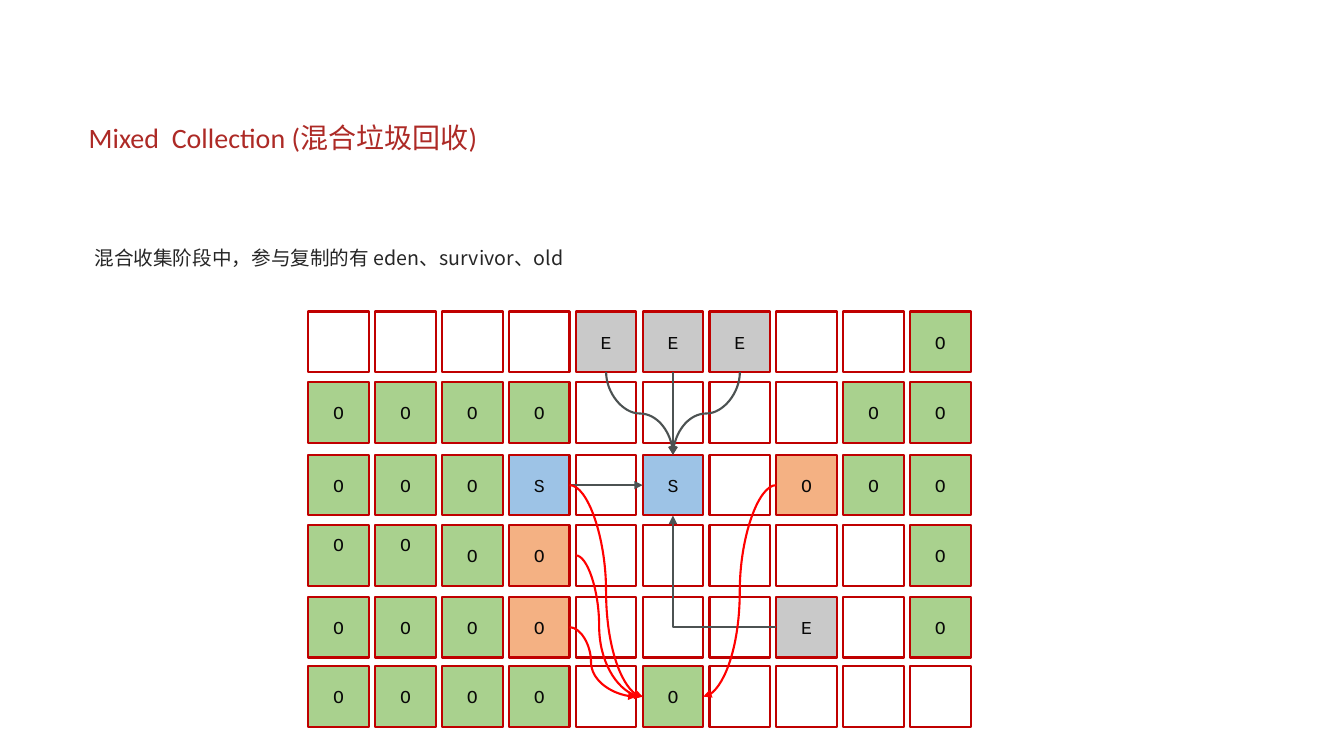
from pptx import Presentation
from pptx.dml.color import RGBColor
from pptx.enum.shapes import MSO_CONNECTOR, MSO_SHAPE
from pptx.enum.text import MSO_ANCHOR, MSO_AUTO_SIZE, PP_ALIGN
from pptx.oxml.ns import qn
from pptx.util import Cm, Pt
from lxml import etree

STRAIGHT, ELBOW, CURVE = MSO_CONNECTOR.STRAIGHT, MSO_CONNECTOR.ELBOW, MSO_CONNECTOR.CURVE
LEFT, CENTER = PP_ALIGN.LEFT, PP_ALIGN.CENTER
TOP, MIDDLE = MSO_ANCHOR.TOP, MSO_ANCHOR.MIDDLE

TITLE_RED = RGBColor(0xAD, 0x2A, 0x26)
BODY_GRAY = RGBColor(0x26, 0x26, 0x26)
LETTER_BLACK = RGBColor(0x08, 0x08, 0x08)
BORDER_RED = RGBColor(0xC0, 0x00, 0x00)
EDEN_GRAY = RGBColor(0xC9, 0xC9, 0xC9)
OLD_GREEN = RGBColor(0xA9, 0xD1, 0x8E)
CHOSEN_ORANGE = RGBColor(0xF4, 0xB1, 0x83)
SURVIVOR_BLUE = RGBColor(0x9D, 0xC3, 0xE6)
ARROW_GRAY = RGBColor(0x4C, 0x52, 0x52)
ARROW_RED = RGBColor(0xFF, 0x00, 0x00)
CJK_FONT = "Noto Sans CJK JP"

# Content
TITLE = "Mixed  Collection (混合垃圾回收)"
BODY = "混合收集阶段中，参与复制的有 eden、survivor、old"

# Heap regions: E eden, S survivor, O old, C old chosen for collection, . free
HEAP = [
    "....EEE..O",
    "OOOO....OO",
    "OOOS.S.COO",
    "OOOC.....O",
    "OOOC...E.O",
    "OOOO.O....",
]
REGIONS = {
    "E": ("E", EDEN_GRAY),
    "S": ("S", SURVIVOR_BLUE),
    "O": ("O", OLD_GREEN),
    "C": ("O", CHOSEN_ORANGE),
}
RAISED = {(3, 0), (3, 1)}  # regions whose letter sits higher

# Arrows: kind, (row, column, side) at each end, colour, bend position
ARROWS = [
    (ELBOW, (4, 7, "left"), (2, 5, "bottom"), ARROW_GRAY, None),
    (STRAIGHT, (2, 3, "right"), (2, 5, "left"), ARROW_GRAY, None),
    (CURVE, (0, 4, "bottom"), (2, 5, "top"), ARROW_GRAY, 0.5),
    (CURVE, (0, 5, "bottom"), (2, 5, "top"), ARROW_GRAY, 0.5),
    (CURVE, (0, 6, "bottom"), (2, 5, "top"), ARROW_GRAY, 0.5),
    (CURVE, (2, 3, "right"), (5, 5, "left"), ARROW_RED, 0.5),
    (CURVE, (3, 4, "left"), (5, 5, "left"), ARROW_RED, 0.35),
    (CURVE, (4, 3, "right"), (5, 4, "right"), ARROW_RED, 0.32),
    (CURVE, (2, 7, "left"), (5, 5, "right"), ARROW_RED, 0.5),
]

# Grid geometry in centimetres
GRID_LEFT, COLUMN_STEP, REGION_SIZE = 7.77, 1.685, 1.53
ROW_TOPS = [7.85, 9.63, 11.46, 13.23, 15.04, 16.79]
SIDES = {"left": (0, 0.5), "right": (1, 0.5), "top": (0.5, 0), "bottom": (0.5, 1)}


def anchor_point(row, column, side):
    across, down = SIDES[side]
    return (GRID_LEFT + column * COLUMN_STEP + across * REGION_SIZE,
            ROW_TOPS[row] + down * REGION_SIZE)


def write_text(box, text, font, frame_format, para_format, east_asian=None):
    frame = box.text_frame
    para = frame.paragraphs[0]
    span = para.add_run()
    span.text = text
    color = font["color"]
    targets = [
        (frame, {"word_wrap": True, "auto_size": MSO_AUTO_SIZE.NONE, **frame_format}),
        (para, para_format),
        (span.font, {key: value for key, value in font.items() if key != "color"}),
    ]
    for target, values in targets:
        for name, value in values.items():
            setattr(target, name, value)
    span.font.color.rgb = color
    if east_asian:
        etree.SubElement(span.font._element, qn("a:ea"), typeface=east_asian)


def add_region(page, row, column, code):
    region = page.shapes.add_shape(
        MSO_SHAPE.RECTANGLE, Cm(GRID_LEFT + column * COLUMN_STEP), Cm(ROW_TOPS[row]),
        Cm(REGION_SIZE), Cm(REGION_SIZE))
    region.shadow.inherit = False
    region.line.color.rgb = BORDER_RED
    region.line.width = Pt(1.5)
    if code not in REGIONS:
        region.fill.background()
        return
    letter, color = REGIONS[code]
    region.fill.solid()
    region.fill.fore_color.rgb = color
    bottom = 0.69 if (row, column) in RAISED else 0.13
    write_text(region, letter,
               {"name": "Courier New", "size": Pt(13), "color": LETTER_BLACK},
               {"vertical_anchor": MIDDLE, "margin_bottom": Cm(bottom)},
               {"alignment": CENTER})


def add_arrow(page, kind, start, end, color, bend):
    (x1, y1), (x2, y2) = anchor_point(*start), anchor_point(*end)
    downward = kind == CURVE and start[2] == "bottom"
    if downward:  # a quarter turn makes the curve leave vertically
        middle_x, middle_y = (x1 + x2) / 2, (y1 + y2) / 2
        half_run, half_rise = (y2 - y1) / 2, (x1 - x2) / 2
        x1, x2 = middle_x - half_run, middle_x + half_run
        y1, y2 = middle_y - half_rise, middle_y + half_rise
    arrow = page.shapes.add_connector(kind, Cm(x1), Cm(y1), Cm(x2), Cm(y2))
    if downward:
        arrow.rotation = 90
    arrow.line.color.rgb = color
    arrow.line.width = Pt(1.5)
    properties = arrow._element.spPr
    geometry = properties.find(qn("a:prstGeom"))
    if kind == ELBOW:
        geometry.set("prst", "bentConnector2")
    if bend:
        guides = geometry.find(qn("a:avLst"))
        etree.SubElement(guides, qn("a:gd"), name="adj1", fmla=f"val {round(bend * 100000)}")
    etree.SubElement(properties.find(qn("a:ln")), qn("a:tailEnd"), type="triangle")
    etree.SubElement(properties, qn("a:effectLst"))


deck = Presentation()
deck.slide_width, deck.slide_height = Cm(33.87), Cm(19.05)
page = deck.slides.add_slide(deck.slide_layouts[5])

# Title
title = page.shapes.title
title.left, title.top, title.width, title.height = Cm(1.98), Cm(2.79), Cm(30.89), Cm(1.45)
write_text(title, TITLE, {"name": "Calibri", "size": Pt(20), "color": TITLE_RED},
           {"vertical_anchor": MIDDLE}, {"alignment": LEFT, "line_spacing": 0.9}, CJK_FONT)

# Heap grid
for row, codes in enumerate(HEAP):
    for column, code in enumerate(codes):
        add_region(page, row, column, code)

# Explanation
body = page.shapes.add_textbox(Cm(2.13), Cm(5.77), Cm(19.08), Cm(1.52))
write_text(body, BODY, {"name": CJK_FONT, "size": Pt(14), "color": BODY_GRAY},
           {"vertical_anchor": TOP},
           {"alignment": LEFT, "line_spacing": 1.5, "space_before": Pt(2.8)}, CJK_FONT)

# Copy arrows
for arrow in ARROWS:
    add_arrow(page, *arrow)

deck.save("out.pptx")
